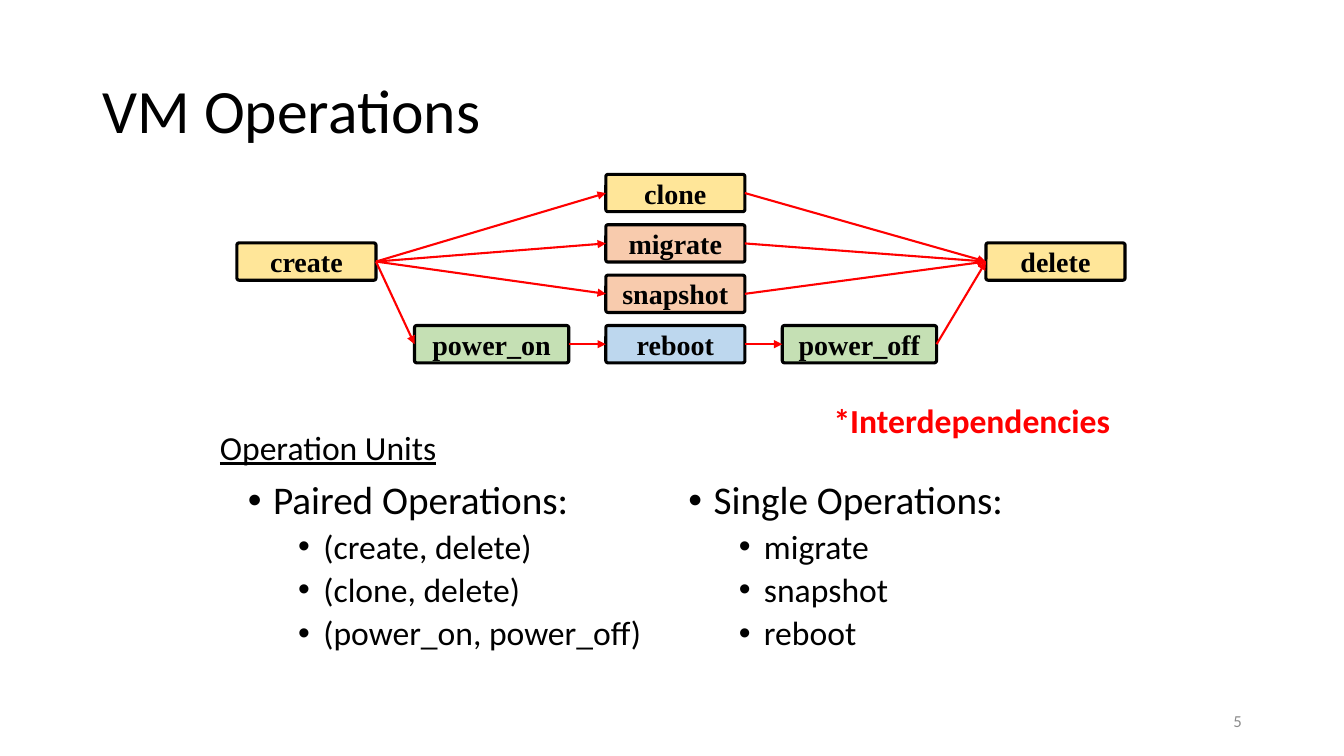
from pptx import Presentation
from pptx.dml.color import RGBColor
from pptx.enum.shapes import MSO_CONNECTOR as Connector, MSO_SHAPE as Shape
from pptx.enum.text import MSO_ANCHOR as Anchor, PP_ALIGN as Align
from pptx.oxml.ns import qn
from pptx.util import Inches, Pt
from lxml.etree import SubElement

COLORS = {"black": "000000", "red": "FF0000", "gray": "8C8C8C", "yellow": "FFE699",
          "green": "C5E0B4", "blue": "BDD7EE", "orange": "F8CBAD"}
BODY, LABEL = "Calibri", "Times New Roman"

# Operation: (column, row, fill)
OPERATIONS = {
    "create": ("start", 1.36, "yellow"),
    "power_on": ("before", 3, "green"),
    "clone": ("middle", 0, "yellow"),
    "migrate": ("middle", 1, "orange"),
    "snapshot": ("middle", 2, "orange"),
    "reboot": ("middle", 3, "blue"),
    "power_off": ("after", 3, "green"),
    "delete": ("end", 1.36, "yellow"),
}
# Column: (left, width) in percent of the flow's width
COLUMNS = {"start": (0, 15.66), "before": (20, 17.37), "middle": (41.54, 15.66),
           "after": (61.41, 17.37), "end": (84.34, 15.66)}
ROWS, ROW_HEIGHT = 4, 19.8
CHAINS = [["create", "clone", "delete"], ["create", "migrate", "delete"],
          ["create", "snapshot", "delete"],
          ["create", "power_on", "reboot", "power_off", "delete"]]


def rgb(name):
    """Return the named colour."""
    return RGBColor.from_string(COLORS[name])


def within(box, left, top, width, height):
    """Return the part of a box given in percent of its size."""
    x, y, w, h = box
    return (int(x + w * left / 100), int(y + h * top / 100),
            int(w * width / 100), int(h * height / 100))


def style(paragraph, size, color="black", face=BODY, bold=None, align=None):
    """Set the font and alignment of a paragraph."""
    font = paragraph.font
    font.name, font.size, font.bold = face, Pt(size), bold
    font.color.rgb = rgb(color)
    paragraph.alignment = align


def add_text(slide, box, text, size, anchor=Anchor.MIDDLE, spacing=0.9, before=0, **look):
    """Add a one-line text and return its paragraph."""
    frame = slide.shapes.add_textbox(*box).text_frame
    frame.word_wrap, frame.vertical_anchor = True, anchor
    line = frame.paragraphs[0]
    line.text, line.line_spacing, line.space_before = text, spacing, Pt(before)
    style(line, size, **look)
    return line


def add_bullet(paragraph, indent):
    """Give a paragraph a round bullet with a quarter-inch hanging indent."""
    props = paragraph._p.get_or_add_pPr()
    props.set("marL", str(Inches(indent)))
    props.set("indent", str(Inches(-0.25)))
    SubElement(props, qn("a:buFont")).set("typeface", "Arial")
    SubElement(props, qn("a:buChar")).set("char", "•")


def add_operation_list(slide, box, heading, operations):
    """Add a bulleted heading with its operations one level below."""
    frame = slide.shapes.add_textbox(*box).text_frame
    frame.word_wrap = True
    for i, text in enumerate([heading, *operations]):
        item = frame.add_paragraph() if i else frame.paragraphs[0]
        item.text, item.level, item.line_spacing = text, int(i > 0), 0.9
        item.space_before = Pt(5 if i else 10)
        style(item, 24 if i else 28)
        add_bullet(item, 0.75 if i else 0.25)


def add_operation(slide, box, name, fill):
    """Add one operation as a labelled box."""
    operation = slide.shapes.add_shape(Shape.ROUNDED_RECTANGLE, *box)
    operation.adjustments[0] = 0.058
    operation.shadow.inherit = False
    operation.fill.solid()
    operation.fill.fore_color.rgb = rgb(fill)
    operation.line.color.rgb, operation.line.width = rgb("black"), Pt(2.25)
    frame = operation.text_frame
    frame.vertical_anchor = Anchor.MIDDLE
    frame.text = name
    style(frame.paragraphs[0], 20, face=LABEL, bold=True, align=Align.CENTER)
    return operation


def add_arrow(slide, source, target):
    """Connect the right side of one operation to the left side of the next."""
    arrow = slide.shapes.add_connector(Connector.STRAIGHT, 0, 0, 0, 0)
    arrow.begin_connect(source, 3)
    arrow.end_connect(target, 1)
    arrow.line.color.rgb, arrow.line.width = rgb("red"), Pt(1.5)
    SubElement(arrow.line._get_or_add_ln(), qn("a:tailEnd")).set("type", "triangle")
    SubElement(arrow._element.spPr, qn("a:effectLst"))


def add_flow(slide, box):
    """Draw the operations and the order in which they depend on each other."""
    pitch = (100 - ROW_HEIGHT) / (ROWS - 1)
    placed = {}
    for name, (column, row, fill) in OPERATIONS.items():
        left, width = COLUMNS[column]
        place = within(box, left, row * pitch, width, ROW_HEIGHT)
        placed[name] = add_operation(slide, place, name, fill)
    links = dict.fromkeys(link for chain in CHAINS for link in zip(chain, chain[1:]))
    for source, target in links:
        add_arrow(slide, placed[source], placed[target])


def add_units(slide, box):
    """Add the operation units: a heading over two lists."""
    heading = add_text(slide, within(box, 14.93, 56.13, 18.98, 6.67), "Operation Units", 24,
                       before=10, align=Align.CENTER)
    heading.font.underline = True
    add_operation_list(slide, within(box, 17.7, 62.93, 31.73, 27.33), "Paired Operations:",
                       ["(create, delete)", "(clone, delete)", "(power_on, power_off)"])
    add_operation_list(slide, within(box, 50.48, 62.93, 31.88, 27.33), "Single Operations:",
                       ["migrate", "snapshot", "reboot"])


def add_operations_slide(deck):
    """Add the slide on VM operations."""
    slide = deck.slides.add_slide(deck.slide_layouts[6])
    page = (0, 0, deck.slide_width, deck.slide_height)
    add_text(slide, within(page, 6.9, 5.33, 86.25, 19.33), "VM Operations", 44)
    add_flow(slide, within(page, 17.63, 23.07, 66.08, 24.93))
    add_text(slide, within(page, 61.28, 49.73, 31.73, 9.2), "*Interdependencies", 24,
             anchor=Anchor.BOTTOM, before=10, color="red", bold=True)
    add_units(slide, page)
    add_text(slide, within(page, 70.65, 92.67, 22.5, 5.33), "5", 12, spacing=1,
             color="gray", align=Align.RIGHT)


deck = Presentation()
deck.slide_width, deck.slide_height = Inches(13.33), Inches(7.5)
add_operations_slide(deck)
deck.save("out.pptx")
